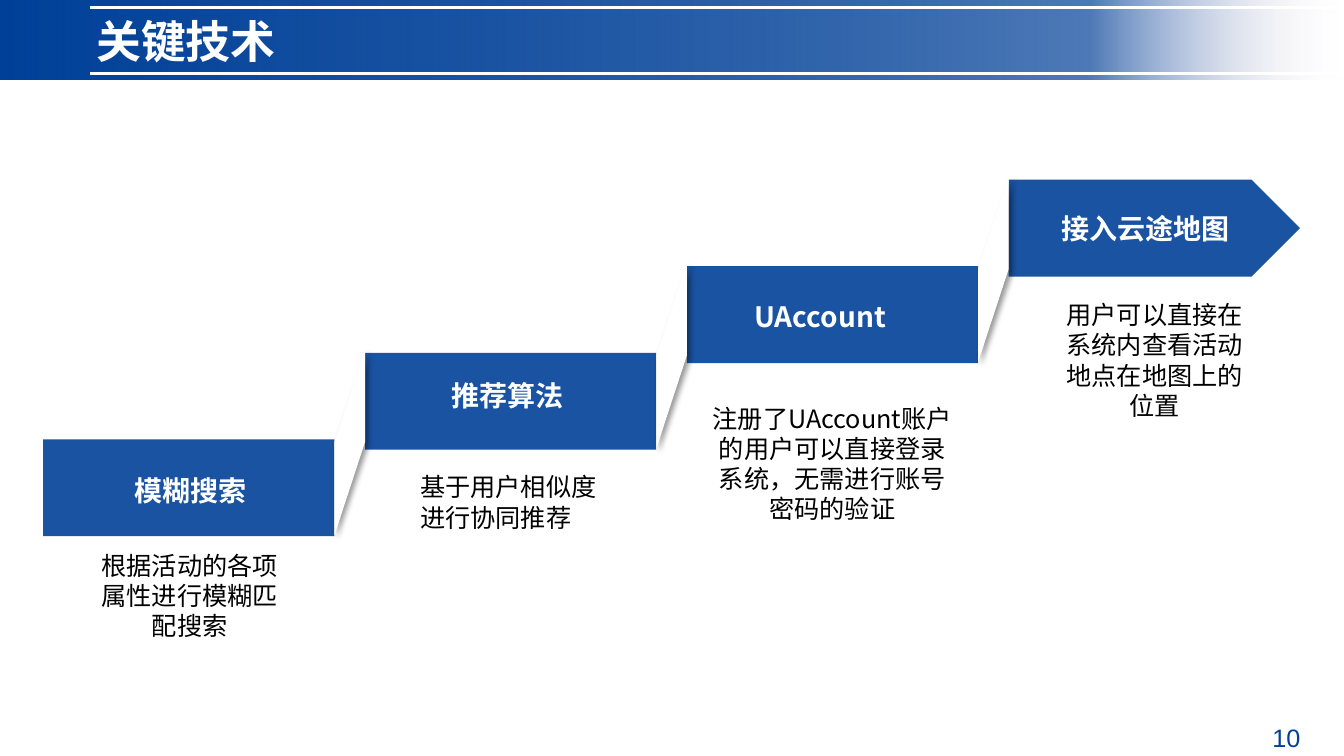
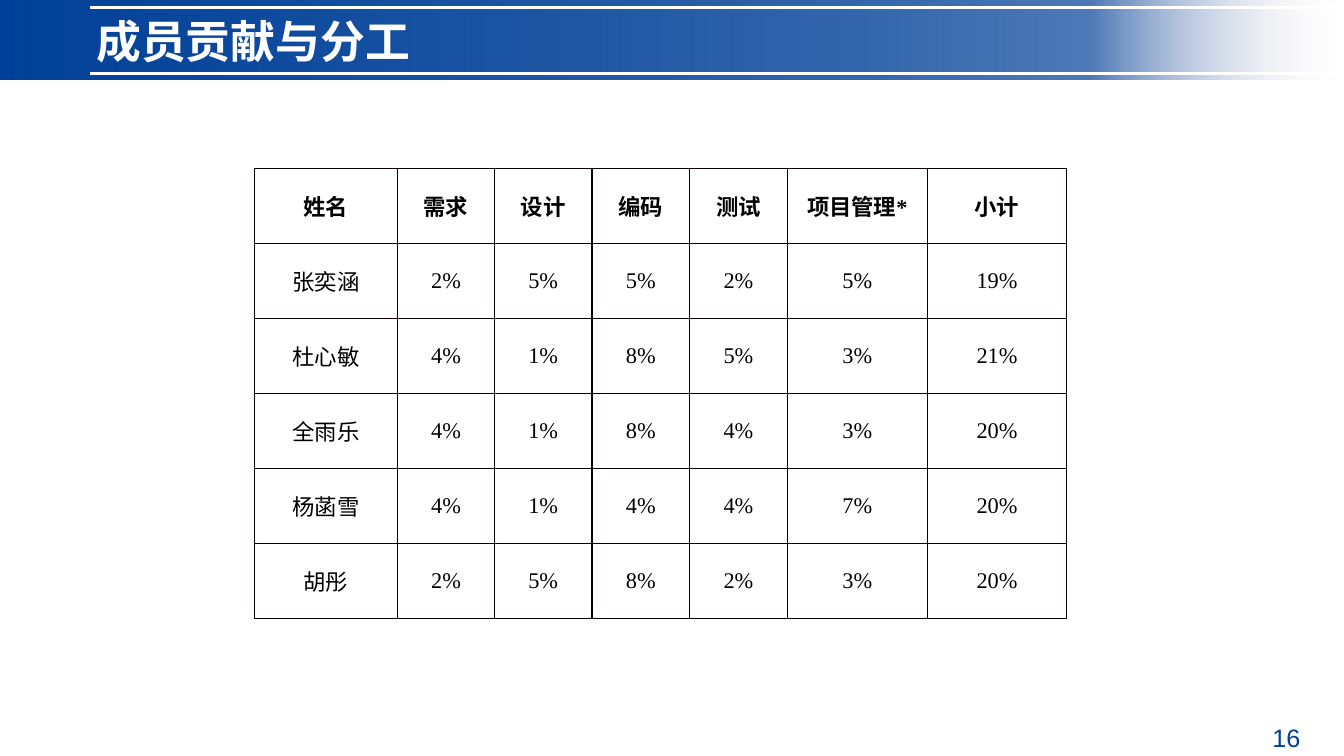
from lxml import etree
from pptx import Presentation
from pptx.dml.color import RGBColor
from pptx.enum import shapes, text
from pptx.oxml import parse_xml
from pptx.oxml.ns import nsdecls, qn
from pptx.util import Cm, Pt

SLIDE_W, SLIDE_H = 33.87, 19.05
NAVY, BLUE, WHITE, BLACK = "004098", "1A53A2", "FFFFFF", "000000"
TABLE_LINE = "080000"
BAND_STOPS = [(0, NAVY, 100), (37, BLUE, 100), (64, "3366AC", 100),
              (81, "4D79B7", 100), (100, "FEF2F3", 0)]
HAN, SANS, SERIF = "Noto Sans CJK SC", "Arial", "Times New Roman"
LEFT, CENTER, RIGHT = text.PP_ALIGN.LEFT, text.PP_ALIGN.CENTER, text.PP_ALIGN.RIGHT
TOP, MIDDLE = text.MSO_ANCHOR.TOP, text.MSO_ANCHOR.MIDDLE

# Staircase: step size, and the offset from one step to the next
STEP_LEFT, STEP_TOP, STEP_W, STEP_H = 1.09, 11.07, 7.34, 2.44
STEP_DX, STEP_DY = 8.11, 2.18
# label, left inset, top inset
STEPS = [
    ("模糊搜索", 2.29, 0.86),
    ("推荐算法", 2.18, 0.64),
    ("UAccount", 1.7, 0.84),
    ("接入云途地图", 1.32, 0.81),
]
# words, left, top, width, height, alignment
DESCRIPTIONS = [
    ("根据活动的各项属性进行模糊匹配搜索", 2.23, 13.74, 5.1, 2.57, CENTER),
    ("基于用户相似度进行协同推荐", 10.34, 11.76, 5.54, 1.8, LEFT),
    ("注册了UAccount账户\n的用户可以直接登录\n系统，无需进行账号\n密码的验证",
     17.7, 10.03, 6.55, 4.1, CENTER),
    ("用户可以直接在\n系统内查看活动\n地点在地图上的\n位置", 26.55, 7.42, 5.1, 3.33, CENTER),
]

HEADINGS = ["姓名", "需求", "设计", "编码", "测试", "项目管理*", "小计"]
COLUMN_WIDTHS = [3.61, 2.44, 2.46, 2.46, 2.46, 3.53, 3.51]
ROW_H = 1.89
SHARES = {
    "张奕涵": [2, 5, 5, 2, 5],
    "杜心敏": [4, 1, 8, 5, 3],
    "全雨乐": [4, 1, 8, 4, 3],
    "杨菡雪": [4, 1, 4, 4, 7],
    "胡彤": [2, 5, 8, 2, 3],
}


def rgb(value):
    return RGBColor.from_string(value)


def write(frame, words, size, color, font=HAN, bold=False, align=LEFT, anchor=TOP):
    frame.word_wrap = True
    frame.vertical_anchor = anchor
    frame.text = words
    for paragraph in frame.paragraphs:
        paragraph.alignment = align
        for run in paragraph.runs:
            run.font.size, run.font.bold = Pt(size), bold
            run.font.color.rgb = rgb(color)
            run.font.name = font
            etree.SubElement(run._r.get_or_add_rPr(), qn("a:ea"), typeface=HAN)


def add_text(slide, words, left, top, width, height, size, color, **style):
    box = slide.shapes.add_textbox(Cm(left), Cm(top), Cm(width), Cm(height))
    write(box.text_frame, words, size, color, **style)


def paint(shape, color):
    """Plain fill with neither outline nor shadow."""
    shape.shadow.inherit = False
    shape.fill.solid()
    shape.fill.fore_color.rgb = rgb(color)
    shape.line.fill.background()


def add_block(slide, preset, left, top, width, height, color):
    block = slide.shapes.add_shape(preset, Cm(left), Cm(top), Cm(width), Cm(height))
    paint(block, color)
    return block


def add_rule(slide, left, right, y):
    rule = slide.shapes.add_connector(shapes.MSO_CONNECTOR.STRAIGHT,
                                      Cm(left), Cm(y), Cm(right), Cm(y))
    rule.line.color.rgb = rgb(WHITE)
    rule.line.width = Pt(2.25)
    etree.SubElement(rule._element.spPr, qn("a:effectLst"))


def add_band(slide):
    band = add_block(slide, shapes.MSO_SHAPE.FLOWCHART_PROCESS, 0, 0, SLIDE_W, 2.01, NAVY)
    stops = "".join(
        f'<a:gs pos="{pos * 1000}"><a:srgbClr val="{color}">'
        f'<a:alpha val="{opacity * 1000}"/></a:srgbClr></a:gs>'
        for pos, color, opacity in BAND_STOPS)
    gradient = parse_xml(f'<a:gradFill {nsdecls("a")} rotWithShape="1"><a:gsLst>{stops}'
                         '</a:gsLst><a:lin ang="0" scaled="1"/></a:gradFill>')
    properties = band._element.spPr
    properties.replace(properties.find(qn("a:solidFill")), gradient)
    for y in (0.18, 1.85):
        add_rule(slide, 2.26, 33.81, y)


def add_page(deck, title, number):
    """Blank slide with the shared band, title and page number."""
    slide = deck.slides.add_slide(deck.slide_layouts[6])
    add_band(slide)
    add_text(slide, title, 2.18, 0.23, 19.84, 1.62, 32, WHITE, bold=True)
    add_text(slide, str(number), 30.15, 18.11, 2.87, 0.97, 18, NAVY,
             font=SANS, align=RIGHT, anchor=MIDDLE)
    return slide


def add_step(slide, index, label, inset_left, inset_top):
    last = index == len(STEPS) - 1
    preset = shapes.MSO_SHAPE.PENTAGON if last else shapes.MSO_SHAPE.RECTANGLE
    step = add_block(slide, preset, STEP_LEFT + index * STEP_DX,
                     STEP_TOP - index * STEP_DY, STEP_W, STEP_H, BLUE)
    frame = step.text_frame
    write(frame, label, 20, WHITE, bold=True)
    frame.margin_left, frame.margin_top = Cm(inset_left), Cm(inset_top)


def add_fold(slide, index):
    """White shaded flap that joins a step to the next one up."""
    left = STEP_LEFT + index * STEP_DX + STEP_W
    right = STEP_LEFT + (index + 1) * STEP_DX
    low = STEP_TOP - index * STEP_DY + 2.42
    rise = 2.35
    outline = [(left, low - rise), (left, low), (right, low - rise), (right, low - 2 * rise)]
    points = [(Cm(x), Cm(y)) for x, y in outline]
    builder = slide.shapes.build_freeform(*points[0], scale=1.0)
    builder.add_line_segments(points[1:], close=True)
    fold = builder.convert_to_shape()
    paint(fold, WHITE)
    fold._element.spPr.find(qn("a:effectLst")).append(parse_xml(
        f'<a:outerShdw {nsdecls("a")} blurRad="{Pt(4)}" dist="{Pt(3)}" dir="2700000" '
        f'algn="tl" rotWithShape="0"><a:srgbClr val="{BLACK}"><a:alpha val="40000"/>'
        '</a:srgbClr></a:outerShdw>'))


def add_borders(cell):
    properties = cell._tc.get_or_add_tcPr()
    for position, side in enumerate("LRTB"):
        properties.insert(position, parse_xml(
            f'<a:ln{side} {nsdecls("a")} w="{Pt(1)}"><a:solidFill>'
            f'<a:srgbClr val="{TABLE_LINE}"/></a:solidFill></a:ln{side}>'))


def add_grid(slide, rows, left, top):
    table = slide.shapes.add_table(
        len(rows), len(COLUMN_WIDTHS), Cm(left), Cm(top),
        Cm(sum(COLUMN_WIDTHS)), Cm(ROW_H * len(rows))).table
    table.first_row = table.horz_banding = False
    for column, width in zip(table.columns, COLUMN_WIDTHS):
        column.width = Cm(width)
    for r, row in enumerate(rows):
        table.rows[r].height = Cm(ROW_H)
        for c, words in enumerate(row):
            cell = table.cell(r, c)
            write(cell.text_frame, words, 16, BLACK, font=SERIF, bold=r == 0, align=CENTER)
            cell.vertical_anchor = MIDDLE
            cell.margin_left = cell.margin_right = Cm(0.18)
            cell.margin_top = cell.margin_bottom = 0
            cell.fill.background()
            add_borders(cell)


def build_technologies(deck):
    slide = add_page(deck, "关键技术", 10)
    for index, step in enumerate(STEPS):
        add_step(slide, index, *step)
    for index in range(len(STEPS) - 1):
        add_fold(slide, index)
    for words, left, top, width, height, align in DESCRIPTIONS:
        add_text(slide, words, left, top, width, height, 18, BLACK, align=align)


def build_contributions(deck):
    slide = add_page(deck, "成员贡献与分工", 16)
    members = [[name] + [f"{share}%" for share in shares + [sum(shares)]]
               for name, shares in SHARES.items()]
    add_grid(slide, [HEADINGS] + members, 6.41, 4.25)


def main():
    deck = Presentation()
    deck.slide_width, deck.slide_height = Cm(SLIDE_W), Cm(SLIDE_H)
    build_technologies(deck)
    build_contributions(deck)
    deck.save("out.pptx")


if __name__ == "__main__":
    main()
